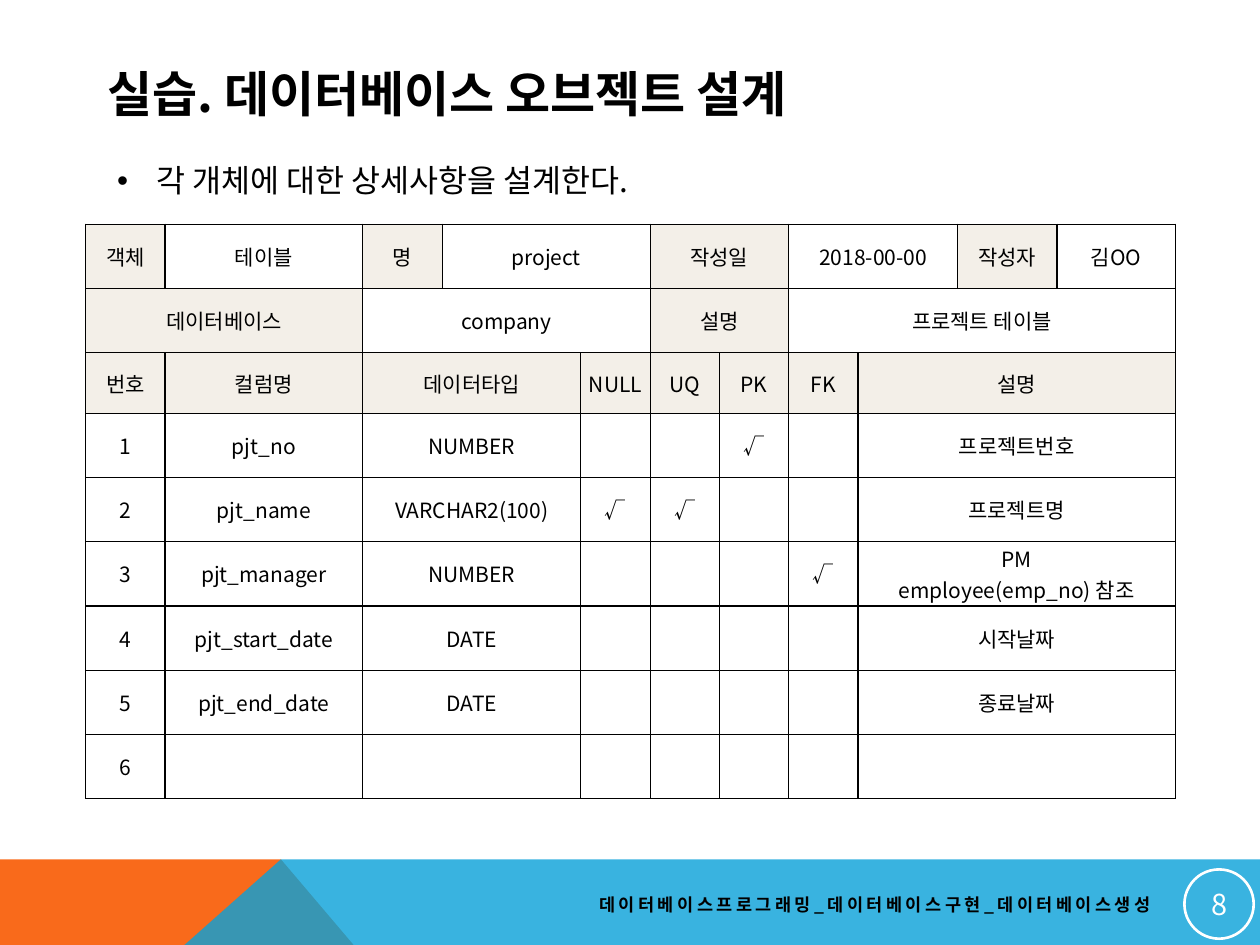
"""Build the table design slide of a database programming course."""
import lxml.etree
import pptx
import pptx.dml.color
import pptx.enum.shapes
import pptx.enum.text
import pptx.oxml.ns
import pptx.util

Inches = pptx.util.Inches
RGBColor = pptx.dml.color.RGBColor
ALIGN = pptx.enum.text.PP_ALIGN
MIDDLE = pptx.enum.text.MSO_ANCHOR.MIDDLE
qn = pptx.oxml.ns.qn

FONT = "Noto Sans CJK KR"
BLACK = RGBColor(0x00, 0x00, 0x00)
WHITE = RGBColor(0xFF, 0xFF, 0xFF)
ORANGE = RGBColor(0xF9, 0x6A, 0x1B)
BLUE = RGBColor(0x08, 0xA1, 0xD9)
CREAM = RGBColor(0xF3, 0xEF, 0xE8)

COLUMN_WIDTHS = [0.63, 1.57, 0.63, 1.1, 0.55, 0.55, 0.55, 0.55, 0.79, 0.79, 0.94]
ROW_HEIGHTS = [0.51, 0.51, 0.48] + [0.51] * 6
COLUMN_SPANS = [1, 1, 2, 1, 1, 1, 1, 3]
OBJECT_SPANS = [1, 1, 1, 2, 2, 2, 1, 1]
DATABASE_SPANS = [2, 3, 2, 4]
OBJECT_ROW = ["객체", "테이블", "명", "project", "작성일", "2018-00-00", "작성자", "김OO"]
DATABASE_ROW = ["데이터베이스", "company", "설명", "프로젝트 테이블"]
HEADINGS = ["번호", "컬럼명", "데이터타입", "NULL", "UQ", "PK", "FK", "설명"]
TABLE_COLUMNS = [
    ["1", "pjt_no", "NUMBER", "", "", "√", "", "프로젝트번호"],
    ["2", "pjt_name", "VARCHAR2(100)", "√", "√", "", "", "프로젝트명"],
    ["3", "pjt_manager", "NUMBER", "", "", "", "√", "PM\nemployee(emp_no) 참조"],
    ["4", "pjt_start_date", "DATE", "", "", "", "", "시작날짜"],
    ["5", "pjt_end_date", "DATE", "", "", "", "", "종료날짜"],
    ["6", "", "", "", "", "", "", ""],
]


def place(shape, left, top, width, height):
    shape.left, shape.top = Inches(left), Inches(top)
    shape.width, shape.height = Inches(width), Inches(height)


def write(frame, text, size, align, color=BLACK, bold=False, spacing=0):
    frame.text = text
    for para in frame.paragraphs:
        para.alignment = align
        for span in para.runs:
            span.font.size = pptx.util.Pt(size)
            span.font.bold = bold
            span.font.color.rgb = color
            span.font.name = FONT
            properties = span.font._element
            lxml.etree.SubElement(properties, qn("a:ea"), typeface=FONT)
            if spacing:
                properties.set("spc", str(spacing * 100))


def add_band(page, points, color, opacity=100):
    corners = [(Inches(x), Inches(y)) for x, y in points]
    builder = page.shapes.build_freeform(*corners[0])
    builder.add_line_segments(corners[1:], close=True)
    band = builder.convert_to_shape()
    band.shadow.inherit = False
    band.fill.solid()
    band.fill.fore_color.rgb = color
    band.line.fill.background()
    if opacity < 100:
        shade = band._element.spPr.find(qn("a:solidFill")).find(qn("a:srgbClr"))
        lxml.etree.SubElement(shade, qn("a:alpha"), val=str(opacity * 1000))


def add_title(page, text):
    title = page.shapes.title
    place(title, 0.75, 0.44, 8.22, 0.6)
    write(title.text_frame, text, 28, ALIGN.LEFT, bold=True)
    title.text_frame.vertical_anchor = MIDDLE


def add_bullet(page, text):
    body = page.placeholders[1]
    place(body, 0.83, 1.23, 4.72, 0.4)
    frame = body.text_frame
    write(frame, text, 18, ALIGN.LEFT)
    frame.word_wrap = False
    frame.auto_size = pptx.enum.text.MSO_AUTO_SIZE.SHAPE_TO_FIT_TEXT
    para = frame.paragraphs[0]
    para.space_before = pptx.util.Pt(0)
    properties = para._element.get_or_add_pPr()
    properties.set("marL", str(Inches(0.31)))
    properties.set("indent", str(Inches(-0.31)))
    lxml.etree.SubElement(properties, qn("a:buChar"), char="•")


def add_borders(cell):
    properties = cell._tc.get_or_add_tcPr()
    for side in ("a:lnL", "a:lnR", "a:lnT", "a:lnB"):
        line = lxml.etree.SubElement(properties, qn(side), w=str(pptx.util.Pt(0.75)))
        fill = lxml.etree.SubElement(line, qn("a:solidFill"))
        lxml.etree.SubElement(fill, qn("a:srgbClr"), val=str(BLACK))


def fill_row(table, row, spans, texts, shades):
    column = 0
    for span, text, shade in zip(spans, texts, shades):
        cell = table.cell(row, column)
        if span > 1:
            cell.merge(table.cell(row, column + span - 1))
        write(cell.text_frame, text, 12, ALIGN.CENTER)
        for part in range(column, column + span):
            piece = table.cell(row, part)
            add_borders(piece)
            piece.fill.solid()
            piece.fill.fore_color.rgb = shade
        cell.vertical_anchor = MIDDLE
        cell.margin_left = cell.margin_right = Inches(0.06)
        cell.margin_top = cell.margin_bottom = 0
        column += span


def add_design_table(page):
    table = page.shapes.add_table(
        len(ROW_HEIGHTS), len(COLUMN_WIDTHS), Inches(0.68), Inches(1.78),
        Inches(sum(COLUMN_WIDTHS)), Inches(sum(ROW_HEIGHTS))).table
    table.first_row = table.horz_banding = False
    for column, width in zip(table.columns, COLUMN_WIDTHS):
        column.width = Inches(width)
    for row, height in zip(table.rows, ROW_HEIGHTS):
        row.height = Inches(height)
    label_value = [CREAM, WHITE] * 4
    fill_row(table, 0, OBJECT_SPANS, OBJECT_ROW, label_value)
    fill_row(table, 1, DATABASE_SPANS, DATABASE_ROW, label_value)
    fill_row(table, 2, COLUMN_SPANS, HEADINGS, [CREAM] * 8)
    for row, texts in enumerate(TABLE_COLUMNS, start=3):
        fill_row(table, row, COLUMN_SPANS, texts, [WHITE] * 8)


def add_page_number(page, text):
    circle = page.shapes.add_shape(
        pptx.enum.shapes.MSO_SHAPE.OVAL,
        Inches(9.4), Inches(6.9), Inches(0.55), Inches(0.55))
    circle.shadow.inherit = False
    circle.fill.background()
    circle.line.color.rgb = WHITE
    circle.line.width = pptx.util.Pt(1.5)
    frame = circle.text_frame
    frame.margin_left = frame.margin_right = Inches(0.01)
    frame.margin_top = frame.margin_bottom = Inches(0.01)
    frame.vertical_anchor = MIDDLE
    write(frame, text, 16.5, ALIGN.CENTER, WHITE)


def add_footer(page, text):
    box = page.shapes.add_textbox(Inches(4.06), Inches(7.03), Inches(5.17), Inches(0.3))
    box.text_frame.word_wrap = True
    box.text_frame.vertical_anchor = MIDDLE
    write(box.text_frame, text, 10, ALIGN.RIGHT, bold=True, spacing=2)


def main():
    deck = pptx.Presentation()
    deck.slide_width, deck.slide_height = Inches(10), Inches(7.5)
    page = deck.slides.add_slide(deck.slide_layouts[1])
    add_band(page, [(0, 8.8), (0, 6.82), (2.23, 6.82), (3.91, 8.8)], ORANGE)
    add_band(page, [(0, 8.8), (2.23, 6.82), (10, 6.82), (10, 8.8)], BLUE, 80)
    add_design_table(page)
    add_page_number(page, "8")
    add_bullet(page, "각 개체에 대한 상세사항을 설계한다.")
    add_footer(page, "데이터베이스프로그래밍_데이터베이스구현_데이터베이스생성")
    add_title(page, "실습. 데이터베이스 오브젝트 설계")
    deck.save("out.pptx")


if __name__ == "__main__":
    main()
